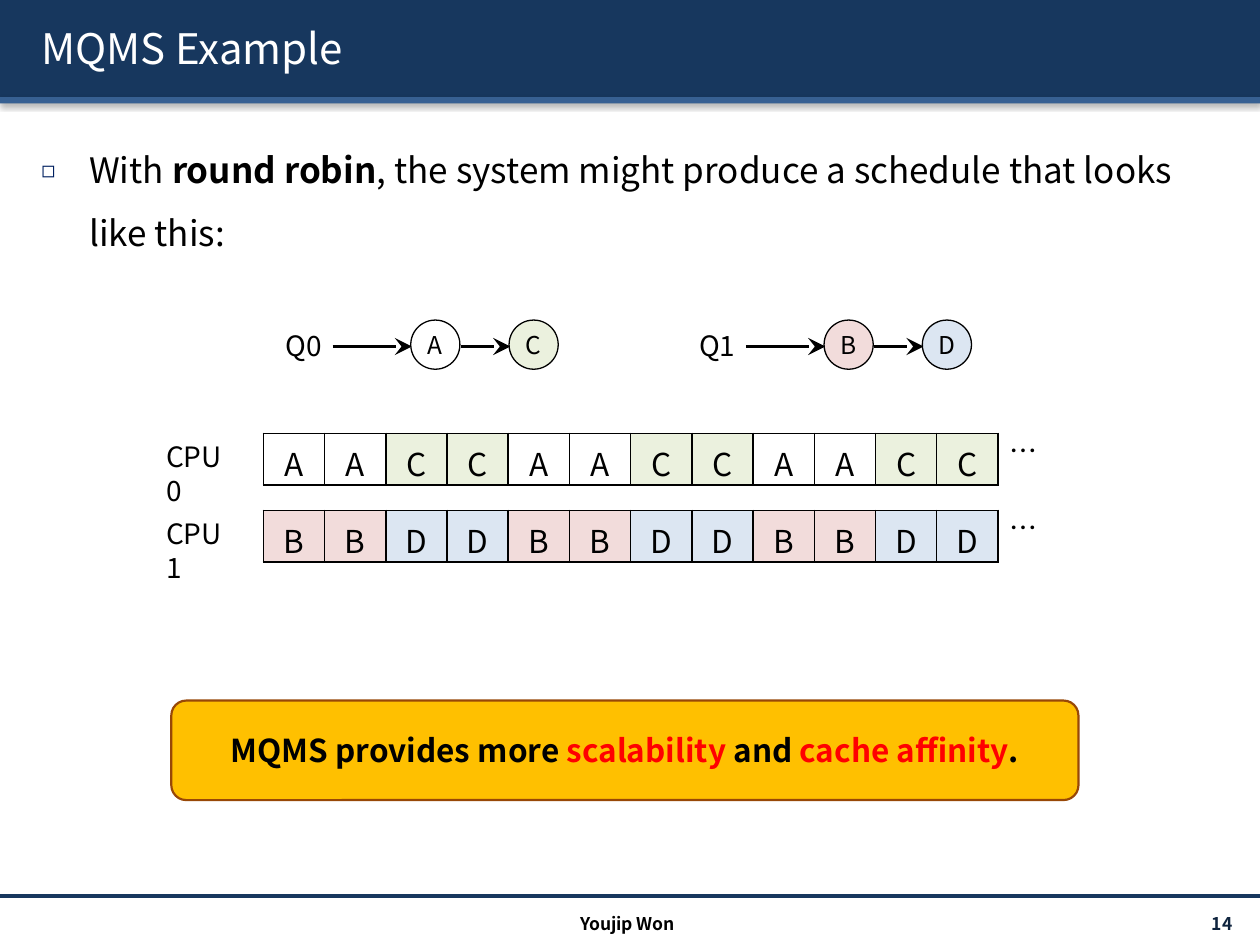
import pptx
import pptx.util
import pptx.dml.color
import pptx.enum.shapes
import pptx.enum.text
import pptx.oxml
import pptx.oxml.ns

Inches = pptx.util.Inches
Pt = pptx.util.Pt
SHAPE = pptx.enum.shapes.MSO_SHAPE
ALIGN = pptx.enum.text.PP_ALIGN
ANCHOR = pptx.enum.text.MSO_ANCHOR
FONT = "Noto Sans CJK KR"
NS = pptx.oxml.ns.nsdecls("a")
TASK_FILLS = {"A": "FFFFFF", "B": "F2DCDB", "C": "EBF1DE", "D": "DCE6F2"}


def color(value):
    return pptx.dml.color.RGBColor.from_string(value)


def add_xml(parent, xml):
    el = pptx.oxml.parse_xml(xml)
    parent.append(el)
    return el


def shadow_xml(blur, dist, angle, alpha):
    return (f'<a:effectLst {NS}><a:outerShdw blurRad="{Pt(blur)}" dist="{Pt(dist)}" '
            f'dir="{angle * 60000}" algn="ctr" rotWithShape="0"><a:srgbClr val="000000">'
            f'<a:alpha val="{alpha * 1000}"/></a:srgbClr></a:outerShdw></a:effectLst>')


def add_run(p, text, size, fill="000000", bold=False):
    r = p.add_run()
    r.text = text
    r.font.name = FONT
    r.font.size = Pt(size)
    r.font.bold = bold
    r.font.color.rgb = color(fill)
    add_xml(r.font._element, f'<a:ea {NS} typeface="{FONT}"/>')
    return r


def add_text(s, x, y, w, h, text, size, fill="000000", bold=False, align=ALIGN.LEFT,
             wrap=True, spacing=None, anchor=ANCHOR.TOP):
    tf = s.shapes.add_textbox(Inches(x), Inches(y), Inches(w), Inches(h)).text_frame
    tf.word_wrap = wrap
    tf.vertical_anchor = anchor
    p = tf.paragraphs[0]
    p.alignment = align
    p.line_spacing = spacing
    add_run(p, text, size, fill, bold)
    return tf


def add_box(s, kind, x, y, w, h, fill, line=None, width=0.75):
    sp = s.shapes.add_shape(kind, Inches(x), Inches(y), Inches(w), Inches(h))
    sp.shadow.inherit = False
    sp.fill.solid()
    sp.fill.fore_color.rgb = color(fill)
    if line:
        sp.line.color.rgb = color(line)
        sp.line.width = Pt(width)
    else:
        sp.line.fill.background()
    tf = sp.text_frame
    tf.vertical_anchor = ANCHOR.MIDDLE
    tf.paragraphs[0].alignment = ALIGN.CENTER
    return sp


def add_line(s, x1, x2, y, fill="000000", width=1.5, arrow=False):
    cx = s.shapes.add_connector(pptx.enum.shapes.MSO_CONNECTOR.STRAIGHT,
                                Inches(x1), Inches(y), Inches(x2), Inches(y))
    cx.line.color.rgb = color(fill)
    cx.line.width = Pt(width)
    if arrow:
        add_xml(cx.line._get_or_add_ln(), f'<a:tailEnd {NS} type="stealth" w="lg" len="lg"/>')
    add_xml(cx._element.spPr, f"<a:effectLst {NS}/>")


def add_header(s, x, y, w, h):
    for top, height, fill in ((y, h, "17375E"), (y + h, 0.05, "376092")):
        sp = add_box(s, SHAPE.RECTANGLE, x, top, w, height, fill)
        sp_pr = sp._element.spPr
        sp_pr.remove(sp_pr.find(pptx.oxml.ns.qn("a:effectLst")))
        add_xml(sp_pr, shadow_xml(3.1, 1.6, 90, 38))
    title = s.shapes.title
    s.shapes._spTree.append(title._element)
    title.left, title.top = Inches(x + 0.23), Inches(y + 0.06)
    title.width, title.height = Inches(9.61), Inches(0.64)
    tf = title.text_frame
    tf.vertical_anchor = ANCHOR.MIDDLE
    p = tf.paragraphs[0]
    p.alignment = ALIGN.LEFT
    r = add_run(p, "MQMS Example", 24, "FFFFFF")
    r.font._element.insert(1, pptx.oxml.parse_xml(shadow_xml(3, 1.5, 45, 100)))


def add_body(s, x, y, w, h):
    tf = s.shapes.add_textbox(Inches(x), Inches(y), Inches(w), Inches(h)).text_frame
    tf.word_wrap = True
    p = tf.paragraphs[0]
    p_pr = p._p.get_or_add_pPr()
    p_pr.set("marL", str(Inches(0.38)))
    p_pr.set("indent", str(-Inches(0.38)))
    add_xml(p_pr, f'<a:buClr {NS}><a:srgbClr val="002060"/></a:buClr>')
    add_xml(p_pr, f'<a:buSzPct {NS} val="65000"/>')
    add_xml(p_pr, f'<a:buFont {NS} typeface="{FONT}"/>')
    add_xml(p_pr, f'<a:buChar {NS} char="◻"/>')
    p.line_spacing = 1.5
    add_run(p, "With ", 20)
    add_run(p, "round robin", 20, bold=True)
    add_run(p, ", the system might produce a schedule that looks like this:", 20)


def add_queue(s, x, y, label, tasks):
    add_text(s, x, y + 0.02, 0.5, 0.37, label, 16, wrap=False)
    size = 0.39
    start = x + 0.47
    for i, task in enumerate(tasks):
        left = x + 1.09 + 2 * size * i
        add_line(s, start, left + 0.01, y + 0.21, arrow=True)
        sp = add_box(s, SHAPE.OVAL, left, y, size, size, TASK_FILLS[task], "000000")
        sp.text_frame.margin_left = sp.text_frame.margin_right = 0
        add_run(sp.text_frame.paragraphs[0], task, 14)
        start = left + size + 0.01


def add_schedule(s, x, y, w, h, label, tasks):
    add_text(s, x - 0.87, y, 0.75, 0.37, label, 16).margin_right = Inches(0.15)
    frame = s.shapes.add_table(1, len(tasks), Inches(x), Inches(y), Inches(w), Inches(h))
    table = frame.table
    table.first_row = table.horz_banding = False
    for i, task in enumerate(tasks):
        table.columns[i].width = Inches(w / len(tasks))
        cell = table.cell(0, i)
        tc_pr = cell._tc.get_or_add_tcPr()
        for side in ("lnL", "lnR", "lnT", "lnB"):
            add_xml(tc_pr, f'<a:{side} {NS} w="{Pt(1)}"><a:solidFill>'
                           f'<a:srgbClr val="000000"/></a:solidFill></a:{side}>')
        cell.fill.solid()
        cell.fill.fore_color.rgb = color(TASK_FILLS[task])
        p = cell.text_frame.paragraphs[0]
        p.alignment = ALIGN.CENTER
        add_run(p, task, 18)
    add_text(s, x + w - 0.01, y - 0.05, 0.39, 0.37, "…", 16)


def add_callout(s, x, y, w, h):
    sp = add_box(s, SHAPE.ROUNDED_RECTANGLE, x, y, w, h, "FFC000", "984807", 1.25)
    sp.adjustments[0] = 0.15
    p = sp.text_frame.paragraphs[0]
    for text, fill in (("MQMS provides more ", "000000"), ("scalability", "FF0000"),
                       (" and ", "000000"), ("cache affinity", "FF0000"), (".", "000000")):
        add_run(p, text, 18, fill, True)


def add_footer(s, x, y, w):
    add_line(s, x, x + w, y, "17375E", 2)
    add_text(s, x + 8.71, y + 0.1, 1.17, 0.24, "14", 10, "0F243E", True, ALIGN.RIGHT,
             anchor=ANCHOR.MIDDLE)
    add_text(s, x + 3.32, y + 0.09, 3.32, 0.24, "Youjip Won", 10, bold=True, align=ALIGN.CENTER)


def main():
    prs = pptx.Presentation()
    prs.slide_width, prs.slide_height = Inches(10), Inches(7.5)
    s = prs.slides.add_slide(prs.slide_layouts[5])
    add_header(s, 0, 0, 10, 0.77)
    add_body(s, 0.23, 0.96, 9.61, 6.02)
    add_queue(s, 2.17, 2.54, "Q0", "AC")
    add_queue(s, 5.45, 2.54, "Q1", "BD")
    add_schedule(s, 2.09, 3.44, 5.83, 0.41, "CPU0", "AACC" * 3)
    add_schedule(s, 2.09, 4.05, 5.83, 0.41, "CPU1", "BBDD" * 3)
    add_callout(s, 1.36, 5.56, 7.2, 0.79)
    add_footer(s, 0, 7.11, 10)
    prs.save("out.pptx")


if __name__ == "__main__":
    main()
